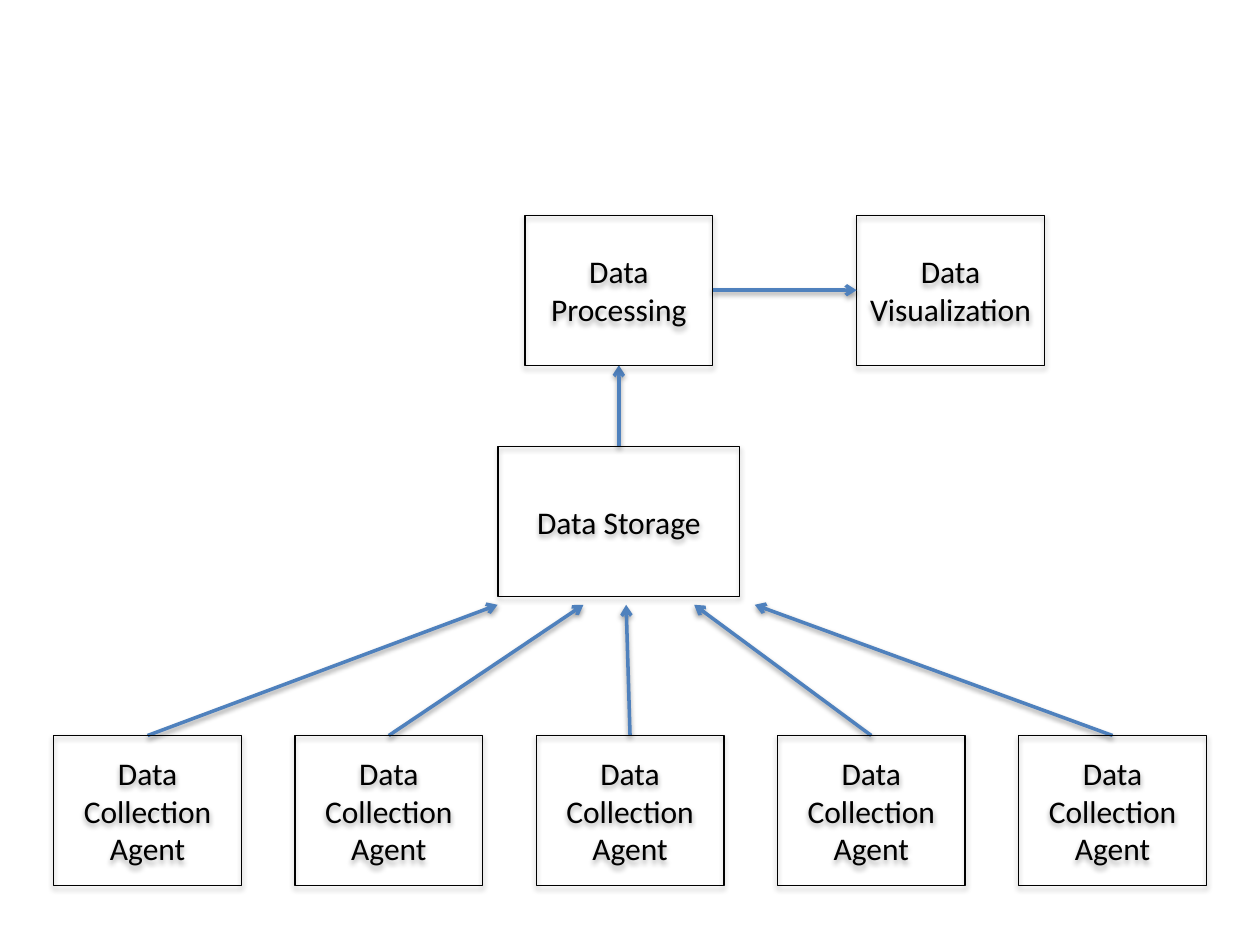
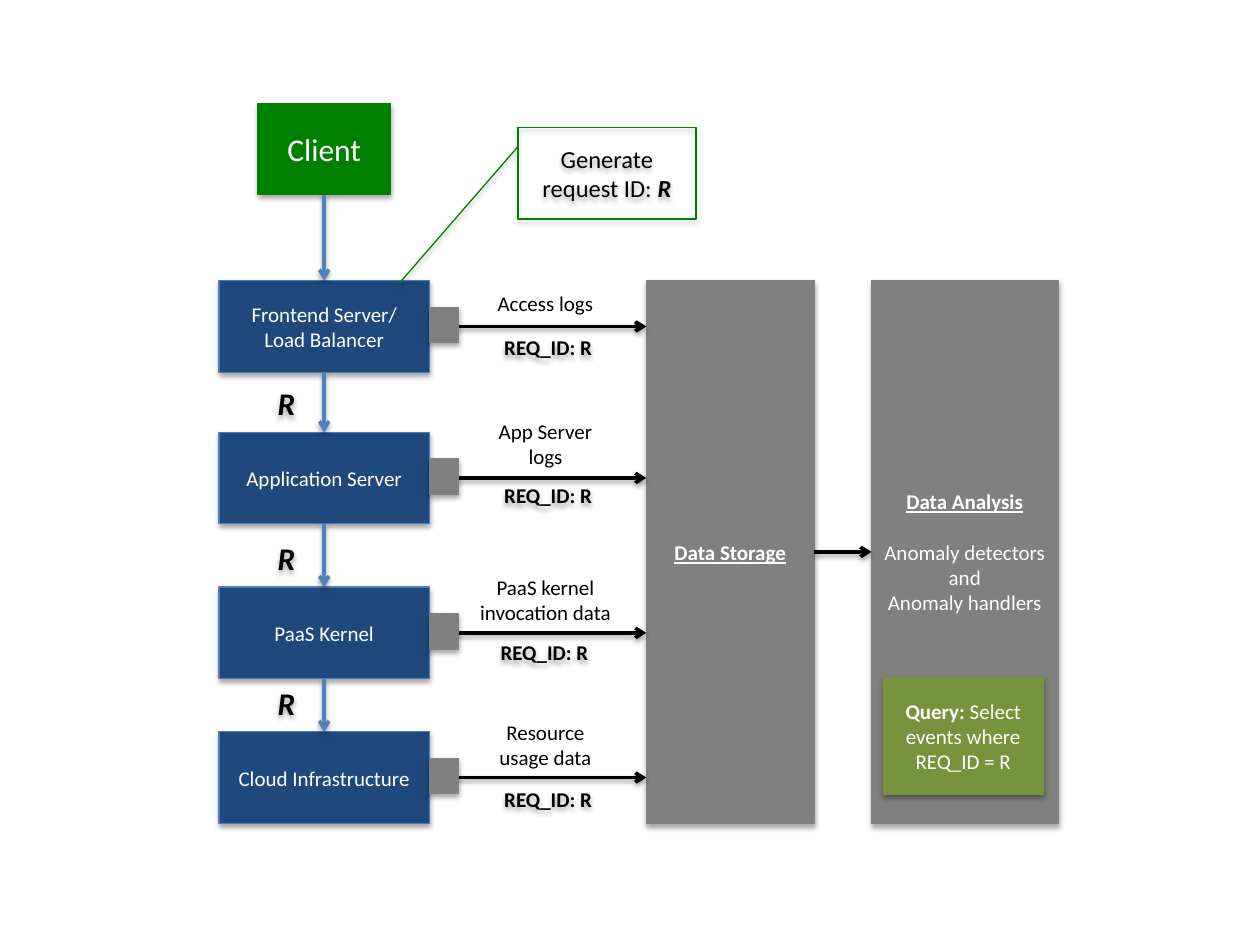
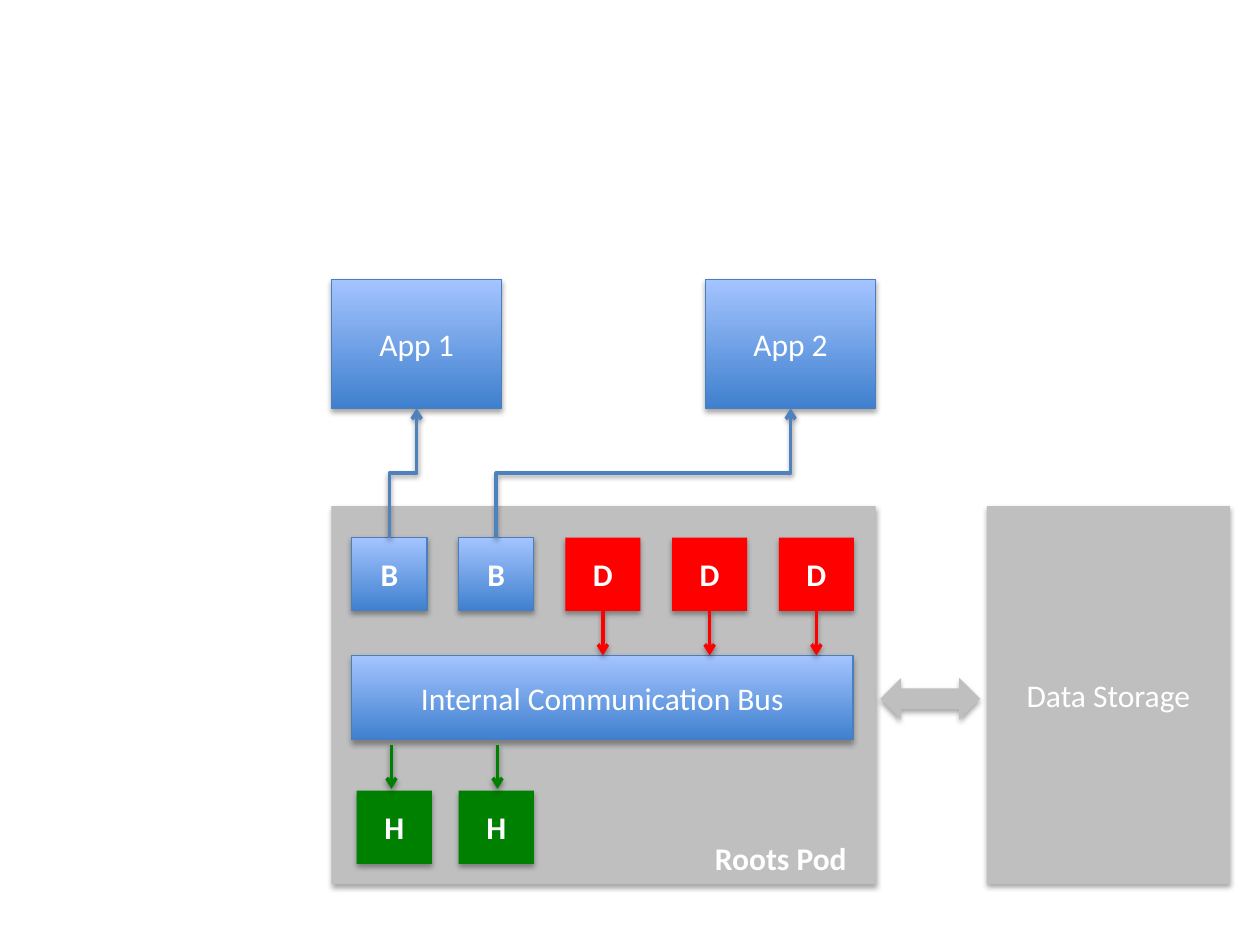
from dataclasses import dataclass

from lxml import etree
from pptx import Presentation
from pptx.dml.color import RGBColor
from pptx.enum.shapes import MSO_CONNECTOR as Connector, MSO_SHAPE as Shape
from pptx.enum.text import MSO_ANCHOR as Anchor, PP_ALIGN as Align
from pptx.oxml.ns import qn
from pptx.util import Pt


@dataclass(frozen=True)
class Theme:
    font: str = "Calibri"
    large: int = 18
    medium: int = 14
    small: int = 12
    outline: float = 0.75
    arrow: float = 2
    black: str = "000000"
    white: str = "FFFFFF"
    navy: str = "1F497D"
    blue: str = "4F81BD"
    edge: str = "4B7EBC"
    gradient: tuple = ("3F80CE", "A4C4FF")
    gray: str = "808080"
    silver: str = "BFBFBF"
    green: str = "008000"
    olive: str = "77933C"
    red: str = "FF0000"


THEME = Theme()


def rgb(color):
    return RGBColor.from_string(color)


def add_shadow(effects, opacity, distance):
    """Put a soft shadow that falls straight down into an effect list."""
    shadow = etree.SubElement(
        effects, qn("a:outerShdw"), blurRad=str(Pt(3.1)), dist=str(Pt(distance)),
        dir="5400000", rotWithShape="0")
    color = etree.SubElement(shadow, qn("a:srgbClr"), val=THEME.black)
    etree.SubElement(color, qn("a:alpha"), val=str(opacity * 1000))


class Diagram:
    def __init__(self, presentation, theme):
        self.theme = theme
        self.slide = presentation.slides.add_slide(presentation.slide_layouts[6])

    def add_text(self, shape, paragraphs, size, color, align=Align.CENTER, gap=0):
        """Fill in paragraphs, each a string or (text, flags) runs; flags are b, i, u.

        gap is the space below the first paragraph.
        """
        frame = shape.text_frame
        frame.word_wrap = True
        for index, runs in enumerate(paragraphs):
            paragraph = frame.add_paragraph() if index else frame.paragraphs[0]
            paragraph.alignment = align
            if index == 1 and gap:
                paragraph.space_before = Pt(gap)
            for text, flags in [(runs, "")] if isinstance(runs, str) else runs:
                run = paragraph.add_run()
                run.text = text
                font = run.font
                font.name, font.size = self.theme.font, Pt(size)
                font.color.rgb = rgb(color)
                font.bold, font.italic = "b" in flags, "i" in flags
                font.underline = "u" in flags

    def box(self, left, top, width, height, paragraphs=(), fill=None, line=None,
            size=THEME.large, color=THEME.white, kind=Shape.RECTANGLE, gap=0):
        """Add a shadowed shape; fill is a color, a pair for a gradient, or None."""
        shape = self.slide.shapes.add_shape(kind, Pt(left), Pt(top), Pt(width), Pt(height))
        if fill is None:
            shape.fill.background()
        elif isinstance(fill, tuple):
            shape.fill.gradient()
            shape.fill.gradient_angle = 90
            for stop, stop_color in zip(shape.fill.gradient_stops, fill):
                stop.color.rgb = rgb(stop_color)
        else:
            shape.fill.solid()
            shape.fill.fore_color.rgb = rgb(fill)
        if line:
            shape.line.color.rgb = rgb(line)
            shape.line.width = Pt(self.theme.outline)
        else:
            shape.line.fill.background()
        shape.shadow.inherit = False
        add_shadow(shape.element.spPr.find(qn("a:effectLst")), 35, 1.8)
        shape.text_frame.vertical_anchor = Anchor.MIDDLE
        self.add_text(shape, paragraphs, size, color, gap=gap)
        return shape

    def label(self, left, top, width, height, paragraphs, size, color, align=Align.CENTER):
        text_box = self.slide.shapes.add_textbox(Pt(left), Pt(top), Pt(width), Pt(height))
        self.add_text(text_box, paragraphs, size, color, align)

    def arrow(self, start, end, color=THEME.blue, kind=Connector.STRAIGHT):
        points = [Pt(value) for value in (*start, *end)]
        connector = self.slide.shapes.add_connector(kind, *points)
        connector.line.color.rgb = rgb(color)
        connector.line.width = Pt(self.theme.arrow)
        properties = connector.element.spPr
        etree.SubElement(properties.find(qn("a:ln")), qn("a:tailEnd"), type="arrow")
        add_shadow(etree.SubElement(properties, qn("a:effectLst")), 38, 1.6)
        return connector

    def rising_elbow(self, start, end):
        """Add an elbow arrow that leaves and arrives vertically, up and to the right."""
        middle_x, middle_y = (start[0] + end[0]) / 2, (start[1] + end[1]) / 2
        half_rise, half_run = (start[1] - end[1]) / 2, (end[0] - start[0]) / 2
        connector = self.arrow((middle_x + half_rise, middle_y + half_run),
                               (middle_x - half_rise, middle_y - half_run),
                               kind=Connector.ELBOW)
        connector.rotation = 90


def build_overview(diagram):
    width, height = 107.3, 85.7
    upper, storage_top, agent_top = 123, 255.3, 420.3
    processing_left, visualization_left = 300, 489.5
    center = processing_left + width / 2
    outline = dict(line=THEME.black, color=THEME.black)

    for index, tip in enumerate((284.4, 333.4, 357.8, 396.7, 431.3)):
        left = 30.7 + 137.85 * index
        diagram.arrow((left + width / 2, agent_top), (tip, 345.6))
        diagram.box(left, agent_top, width, height, ["Data Collection Agent"], **outline)
    diagram.arrow((center, storage_top), (center, upper + height))
    diagram.box(center - 69, storage_top, 138, height, ["Data Storage"], **outline)
    for left, name in ((processing_left, "Data Processing"),
                       (visualization_left, "Data Visualization")):
        diagram.box(left, upper, width, height, [name], **outline)
    middle = upper + height / 2
    diagram.arrow((processing_left + width, middle), (visualization_left, middle))


def build_request_tracing(diagram):
    left, width, height = 125.2, 120.1, 52.3
    center, right = left + width / 2, left + width
    storage_left, storage_width, analysis_left = 369.3, 96, 498
    columns_top, columns_height = 160.4, 310
    small = THEME.small
    # Name lines, top, log text, log text top and width, request ID left and top
    layers = (
        (["Frontend Server/", "Load Balancer"], columns_top,
         "Access logs", 162.7, 105.8, 263.5, 188.6),
        (["Application Server"], 247, "App Server logs", 235.4, 75.6, 263.5, 272.9),
        (["PaaS Kernel"], 335.5, "PaaS kernel invocation data", 324.7, 109.4, 261.4, 362.9),
        (["Cloud Infrastructure"], 418.2, "Resource usage data", 407.5, 80.6, 263.5, 446.4),
    )

    diagram.box(storage_left, columns_top, storage_width, columns_height,
                [[("Data Storage", "bu")]], THEME.gray, THEME.gray, small)
    client_top = 59
    diagram.box(center - 37.8, client_top, 75.6, height, ["Client"], THEME.green, THEME.green)
    above = client_top + height
    for index, (name, top, log, log_top, log_width, id_left, id_top) in enumerate(layers):
        diagram.box(left, top, width, height, name, THEME.navy, THEME.edge, small)
        diagram.arrow((center, above), (center, top))
        above = top + height
        if index:
            diagram.box(150.5, top - 26.6, 26.6, 20, [[("R", "bi")]], color=THEME.black)
        diagram.label(311.7 - log_width / 2, log_top, log_width, 36, [log], small, THEME.black)
        log_y = top + height / 2
        diagram.arrow((right, log_y), (storage_left, log_y), THEME.black)
        diagram.box(right, top + 15.2, 16.6, 20.2, fill=THEME.gray, line=THEME.gray)
        diagram.box(id_left, id_top, 99.4, 20, [[("REQ_ID: R", "b")]],
                    size=small, color=THEME.black)

    diagram.box(analysis_left, columns_top, 106.6, columns_height,
                [[("Data Analysis", "bu")], "Anomaly detectors", "and", "Anomaly handlers"],
                THEME.gray, THEME.gray, small, gap=14.6)
    middle = columns_top + columns_height / 2
    diagram.arrow((storage_left + storage_width, middle), (analysis_left, middle), THEME.black)
    diagram.box(504.7, 387.4, 91.5, 66.5,
                [[("Query:", "b"), (" Select events where REQ_ID = R", "")]],
                THEME.olive, THEME.olive, small)
    callout = diagram.box(296, 72.8, 101.7, height,
                          [[("Generate request ID: ", ""), ("R", "bi")]], line=THEME.green,
                          size=THEME.medium, color=THEME.black, kind=Shape.LINE_CALLOUT_1)
    for index, value in enumerate((0.21, 0, 1.71, -0.67)):
        callout.adjustments[index] = value


def build_pod(diagram):
    pod_left, pod_top, pod_width, pod_height = 189.4, 289.3, 311, 216
    app_top, app_width, app_height = 159.7, 97.3, 73.6
    chip_width, chip_height, chip_top, chip_step = 43, 41.9, 307.2, 61
    bus_left, bus_top, bus_width, bus_height = 201, 374.5, 286.4, 48.3
    handler_top = 451.8
    blue = dict(fill=THEME.gradient, line=THEME.edge)

    app_lefts = (pod_left, pod_left + pod_width - app_width)
    for number, left in enumerate(app_lefts, 1):
        diagram.box(left, app_top, app_width, app_height, [f"App {number}"], **blue)
    diagram.box(pod_left, pod_top, pod_width, pod_height, fill=THEME.silver)

    diagram.box(bus_left, bus_top, bus_width, bus_height, ["Internal Communication Bus"], **blue)
    for index, letter in enumerate("BBDDD"):
        left = bus_left + chip_step * index
        center = left + chip_width / 2
        style = blue if letter == "B" else dict(fill=THEME.red)
        diagram.box(left, chip_top, chip_width, chip_height, [[(letter, "b")]], **style)
        if letter == "D":
            diagram.arrow((center, chip_top + chip_height), (center, bus_top), THEME.red)
        else:
            diagram.rising_elbow((center, chip_top),
                                 (app_lefts[index] + app_width / 2, app_top + app_height))
    for left, arrow_x in ((203.8, 223.7), (262.1, 284.3)):
        diagram.box(left, handler_top, chip_width, chip_height, [[("H", "b")]], THEME.green)
        diagram.arrow((arrow_x, 425.5), (arrow_x, handler_top - 1), THEME.green)

    diagram.box(563.9, pod_top, 139, pod_height, ["Data Storage"], THEME.silver)
    diagram.box(503, 387.4, 57, 23.8, fill=THEME.silver, kind=Shape.LEFT_RIGHT_ARROW)
    diagram.label(401.5, 476, 113, 29, [[("Roots Pod", "b")]], THEME.large, THEME.white,
                  Align.LEFT)


def main():
    presentation = Presentation()
    presentation.slide_width, presentation.slide_height = Pt(720), Pt(540)
    for build in (build_overview, build_request_tracing, build_pod):
        build(Diagram(presentation, THEME))
    presentation.save("out.pptx")


if __name__ == "__main__":
    main()
